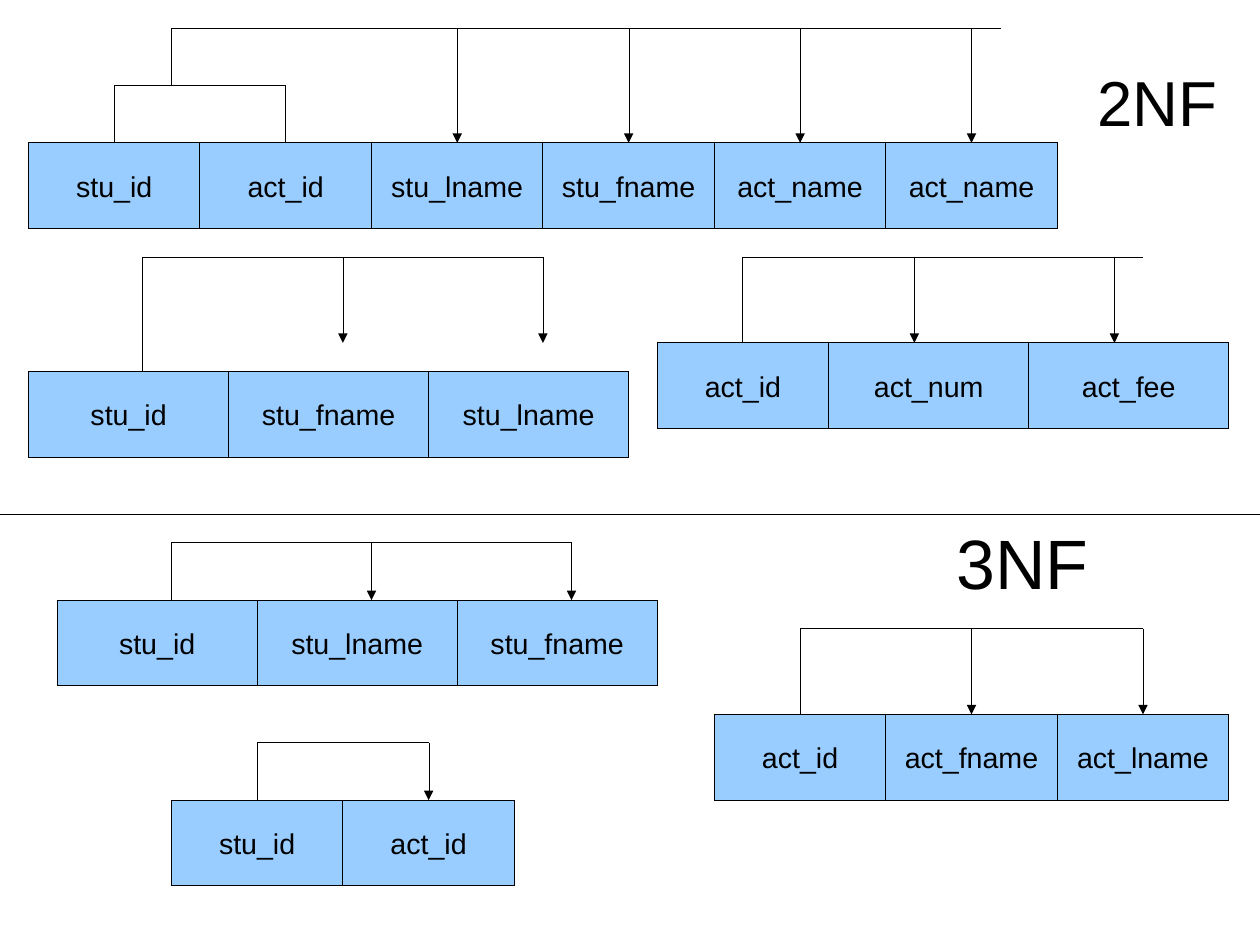
"""Builds a slide of dependency diagrams in second and third normal form."""
from lxml import etree
from pptx import Presentation
from pptx import util as u
from pptx.dml.color import RGBColor
from pptx.enum import shapes, text
from pptx.oxml import ns

GRID = 0.25
ROW_HEIGHT = 3
INK, SKY = "000000", "99CCFF"

deck = Presentation()
deck.slide_width, deck.slide_height = u.Cm(28), u.Cm(21)
WIDTH = deck.slide_width.inches
page = deck.slides.add_slide(deck.slide_layouts[6])


def paint(target, colour):
    if hasattr(target, "solid"):
        target.solid()
        target = target.fore_color
    target.rgb = RGBColor.from_string(colour)


def draw_line(x1, y1, x2, y2, arrow=False):
    ends = [u.Inches(GRID * value) for value in (x1, y1, x2, y2)]
    line = page.shapes.add_connector(shapes.MSO_CONNECTOR.STRAIGHT, *ends)
    paint(line.line.fill, INK)
    outline = line._element.spPr.find(ns.qn("a:ln"))
    outline.set("w", "0")
    if arrow:
        etree.SubElement(outline, ns.qn("a:tailEnd"), type="triangle")
    etree.SubElement(line._element.spPr, ns.qn("a:effectLst"))


relations = [
    dict(left=1, top=5, bus=1, bus_end=35, stem=6, stem_foot=3, arrows=(16, 22, 28, 34), arrow_foot=5,
         columns=[("stu_id", 6), ("act_id", 6), ("stu_lname", 6),
                  ("stu_fname", 6), ("act_name", 6), ("act_name", 6)]),
    dict(left=1, top=13, bus=9, bus_end=19, stem=5, stem_foot=13, arrows=(12, 19), arrow_foot=12,
         columns=[("stu_id", 7), ("stu_fname", 7), ("stu_lname", 7)]),
    dict(left=23, top=12, bus=9, bus_end=40, stem=26, stem_foot=12, arrows=(32, 39), arrow_foot=12,
         columns=[("act_id", 6), ("act_num", 7), ("act_fee", 7)]),
    dict(left=2, top=21, bus=19, bus_end=20, stem=6, stem_foot=21, arrows=(13, 20), arrow_foot=21,
         columns=[("stu_id", 7), ("stu_lname", 7), ("stu_fname", 7)]),
    dict(left=25, top=25, bus=22, bus_end=40, stem=28, stem_foot=25, arrows=(34, 40), arrow_foot=25,
         columns=[("act_id", 6), ("act_fname", 6), ("act_lname", 6)]),
    dict(left=6, top=28, bus=26, bus_end=15, stem=9, stem_foot=28, arrows=(15,), arrow_foot=28,
         columns=[("stu_id", 6), ("act_id", 6)]),
]
for relation in relations:
    left = relation["left"]
    for name, width in relation["columns"]:
        place = [u.Inches(GRID * value) for value in (left, relation["top"], width, ROW_HEIGHT)]
        box = page.shapes.add_shape(shapes.MSO_SHAPE.RECTANGLE, *place)
        box.shadow.inherit = False
        paint(box.fill, SKY)
        paint(box.line.fill, INK)
        box._element.spPr.find(ns.qn("a:ln")).set("w", "0")
        box.text_frame.text = name
        box.text_frame.vertical_anchor = text.MSO_ANCHOR.MIDDLE
        para = box.text_frame.paragraphs[0]
        para.alignment = text.PP_ALIGN.CENTER
        span = para.runs[0]
        span.font.name, span.font.size = "Arial", u.Pt(18)
        paint(span.font.color, INK)
        left += width
    bus, stem = relation["bus"], relation["stem"]
    draw_line(stem, bus, relation["bus_end"], bus)
    draw_line(stem, bus, stem, relation["stem_foot"])
    for x in relation["arrows"]:
        draw_line(x, bus, x, relation["arrow_foot"], arrow=True)

key_middle, bracket, key_top = 6, 3, 5
for x in (4, 10):
    draw_line(key_middle, bracket, x, bracket)
    draw_line(x, bracket, x, key_top)

draw_line(0, 18, WIDTH / GRID, 18)

titles = [("2NF", 9.5, 0.5, WIDTH - 9.5, 1, 40), ("3NF", WIDTH * 0.75, 4.5, WIDTH / 4, 1.25, 44)]
for title, left, top, width, height, size in titles:
    box = page.shapes.add_textbox(*[u.Inches(value) for value in (left, top, width, height)])
    box.text_frame.word_wrap = True
    box.text_frame.text = title
    span = box.text_frame.paragraphs[0].runs[0]
    span.font.name, span.font.size = "Arial", u.Pt(size)
    paint(span.font.color, INK)

deck.save("out.pptx")
